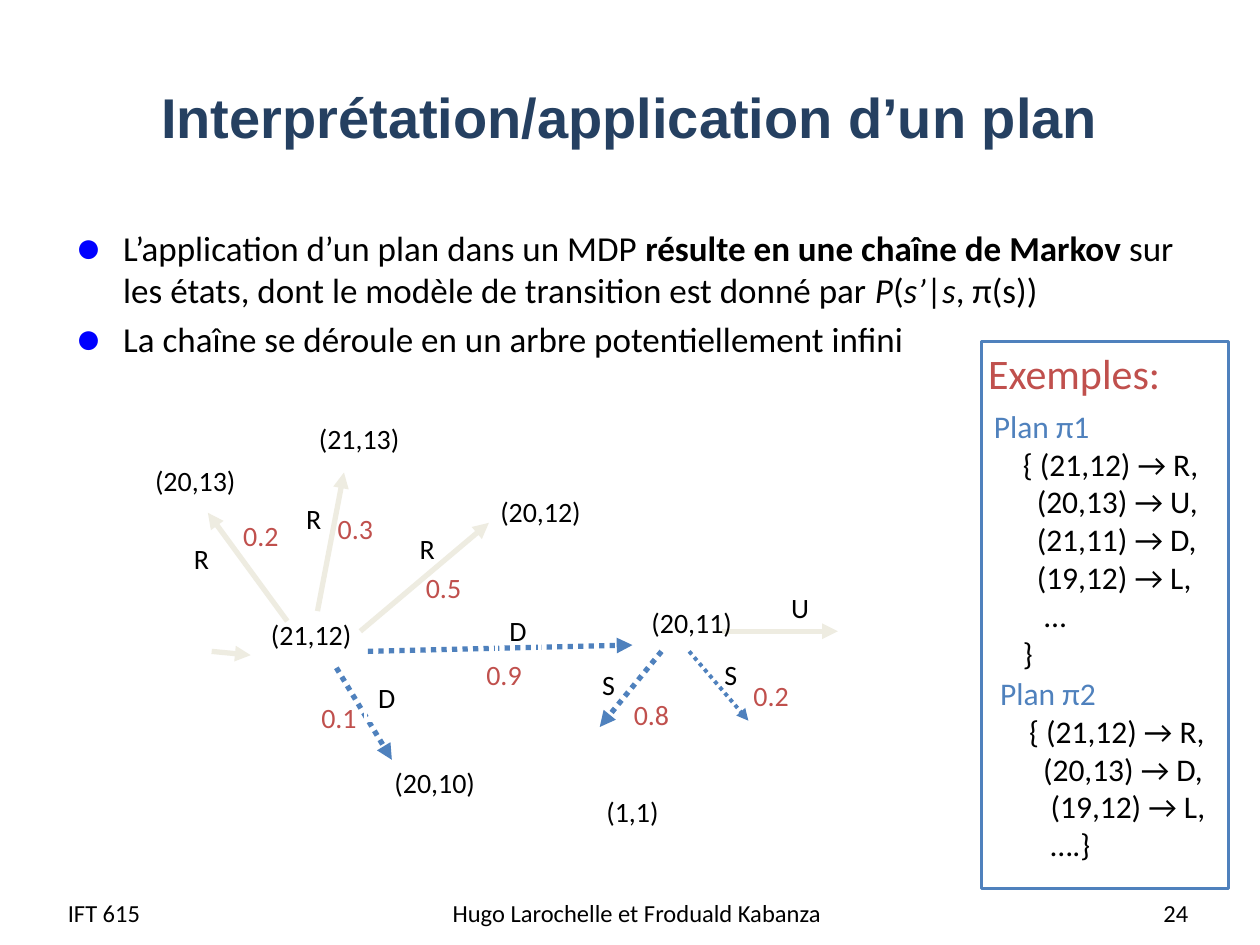
from lxml import etree
from pptx import Presentation
from pptx.dml.color import RGBColor
from pptx.enum.dml import MSO_LINE_DASH_STYLE as Dash
from pptx.enum.shapes import MSO_CONNECTOR as Connector, MSO_SHAPE as Shape
from pptx.enum.text import MSO_ANCHOR as Anchor, PP_ALIGN as Align
from pptx.oxml.ns import qn
from pptx.util import Inches, Pt

BLACK, BLUE, RED, BEIGE, WHITE = "000000", "4F81BD", "C0504D", "EEECE1", "FFFFFF"
TITLE_COLOUR, BULLET_COLOUR = "254061", "0000FF"


def colour(hex_code):
    return RGBColor.from_string(hex_code)


def add_run(para, text, size, hex_code=BLACK, bold=False, italic=False, font="Calibri"):
    span = para.add_run()
    span.text = text
    span.font.name = font
    span.font.size = Pt(size)
    span.font.bold = bold
    span.font.italic = italic
    span.font.color.rgb = colour(hex_code)


def add_text_box(page, left, top, width, height, wrap=True, anchor=Anchor.TOP):
    box = page.shapes.add_textbox(Inches(left), Inches(top), Inches(width), Inches(height))
    box.text_frame.word_wrap = wrap
    box.text_frame.vertical_anchor = anchor
    return box.text_frame


def add_frame(page, left, top, width, height, line_colour):
    box = page.shapes.add_shape(
        Shape.RECTANGLE, Inches(left), Inches(top), Inches(width), Inches(height))
    box.shadow.inherit = False
    box.fill.background()
    box.line.color.rgb = colour(line_colour)
    box.line.width = Pt(1.5)


def add_line_of_text(page, left, top, width, height, text, size, hex_code=BLACK,
                     align=Align.CENTER, wrap=True, anchor=Anchor.TOP):
    para = add_text_box(page, left, top, width, height, wrap, anchor).paragraphs[0]
    para.alignment = align
    add_run(para, text, size, hex_code)


def add_title(page, left, top, width, height):
    title = page.shapes.title
    title.left, title.top = Inches(left), Inches(top)
    title.width, title.height = Inches(width), Inches(height)
    title.text_frame.vertical_anchor = Anchor.MIDDLE
    para = title.text_frame.paragraphs[0]
    para.alignment = Align.CENTER
    add_run(para, "Interprétation/application d’un plan", 32, TITLE_COLOUR,
            bold=True, font="Arial")


def add_bullet(para):
    props = para._p.get_or_add_pPr()
    props.set("marL", str(Inches(0.38)))
    props.set("indent", str(-Inches(0.38)))
    bullet_colour = etree.SubElement(props, qn("a:buClr"))
    etree.SubElement(bullet_colour, qn("a:srgbClr"), val=BULLET_COLOUR)
    etree.SubElement(props, qn("a:buSzPct"), val="125000")
    etree.SubElement(props, qn("a:buFont"), typeface="Arial")
    etree.SubElement(props, qn("a:buChar"), char="●")


def add_bullets(page, left, top, width, height):
    frame = add_text_box(page, left, top, width, height)
    first = frame.paragraphs[0]
    add_bullet(first)
    add_run(first, "L’application d’un plan dans un MDP ", 20)
    add_run(first, "résulte en une chaîne de Markov", 20, bold=True)
    add_run(first, " sur les états, dont le modèle de transition est donné par ", 20)
    for text, italic in [("P", True), ("(", False), ("s’", True), ("|", False),
                         ("s", True), (", π(s))", False)]:
        add_run(first, text, 20, italic=italic)
    second = frame.add_paragraph()
    add_bullet(second)
    second.space_before = Pt(4)
    add_run(second, "La chaîne se déroule en un arbre potentiellement infini", 20)


def add_arrow(page, start_x, start_y, end_x, end_y, line_colour, width=3, dash=None):
    arrow = page.shapes.add_connector(
        Connector.STRAIGHT, Inches(start_x), Inches(start_y), Inches(end_x), Inches(end_y))
    arrow.line.color.rgb = colour(line_colour)
    arrow.line.width = Pt(width)
    if dash:
        arrow.line.dash_style = dash
    props = arrow._element.spPr
    etree.SubElement(props.find(qn("a:ln")), qn("a:tailEnd"), type="triangle")
    etree.SubElement(props, qn("a:effectLst"))


def add_tree(page, left, top):
    plain_arrows = [
        (4.61, 1.71, 5.53, 1.71), (1.74, 1.71, 2.76, 0.85), (1.4, 1.55, 1.61, 0.45),
        (1.16, 1.63, 0.53, 0.77), (0.56, 1.87, 0.87, 1.9)]
    dotted_arrows = [
        (1.8, 1.87, 3.9, 1.82, 3), (4.35, 1.87, 4.82, 2.42, 2.25),
        (4.13, 1.87, 3.64, 2.47, 3), (1.55, 2, 1.99, 2.73, 3)]
    states = [
        ("(21,12)", 1.35, 1.55), ("(20,11)", 4.37, 1.46), ("(20,12)", 3.17, 0.58),
        ("(20,13)", 0.43, 0.33), ("(21,13)", 1.73, 0), ("(1,1)", 3.9, 2.96),
        ("(20,10)", 2.33, 2.73)]
    actions = [
        ("U", 5.23, 1.34), ("R", 2.27, 0.87), ("R", 0.48, 0.95), ("R", 1.37, 0.63),
        ("D", 1.95, 2.05), ("D", 2.99, 1.52), ("S", 4.68, 1.87), ("S", 3.71, 1.95)]
    chances = [
        ("0.9", 2.88, 1.87), ("0.5", 2.4, 1.18), ("0.1", 1.57, 2.21), ("0.3", 1.7, 0.71),
        ("0.2", 0.95, 0.77), ("0.8", 4.05, 2.19), ("0.2", 5, 2.04)]

    for x1, y1, x2, y2, width in dotted_arrows:
        add_arrow(page, left + x1, top + y1, left + x2, top + y2, BLUE, width,
                  Dash.ROUND_DOT)
    for x1, y1, x2, y2 in plain_arrows:
        add_arrow(page, left + x1, top + y1, left + x2, top + y2, BEIGE)
    for labels, width, hex_code in [(states, 0.85, BLACK), (actions, 0.34, BLACK),
                                    (chances, 0.49, RED)]:
        for text, centre, y in labels:
            x = left + centre - width / 2
            if text == "D":
                add_frame(page, x, top + y, width, 0.37, WHITE)
            add_line_of_text(page, x, top + y, width, 0.37, text, 16, hex_code, wrap=False)


def add_plan(page, left, top, width, height, heading, steps):
    frame = add_text_box(page, left, top, width, height)
    add_run(frame.paragraphs[0], heading, 18, BLUE)
    for text, indent in steps:
        para = frame.add_paragraph()
        para._p.get_or_add_pPr().set("marL", str(Inches(indent)))
        add_run(para, text, 18)


def add_examples(page, left, top, width, height):
    add_plan(page, left, top + 0.47, 2.13, 2.22, "Plan π1", [
        ("{ (21,12) → R,", 0.23), ("(20,13) → U,", 0.34), ("(21,11) → D,", 0.34),
        ("(19,12) → L,", 0.34), ("…", 0.4), ("}", 0.23)])
    add_plan(page, left + 0.05, top + 2.59, 2.13, 1.6, "Plan π2", [
        ("{ (21,12) → R,", 0.23), ("(20,13) → D,", 0.34), ("(19,12) → L,", 0.4),
        ("….}", 0.4)])
    add_line_of_text(page, left - 0.07, top, 1.61, 0.5, "Exemples:", 24, RED, wrap=False)
    add_frame(page, left, top, width, height, BLUE)


def add_footer(page, top, height):
    for left, width, text, align in [
            (0.44, 1.93, "IFT 615", Align.LEFT),
            (3.47, 3.17, "Hugo Larochelle et Froduald Kabanza", Align.CENTER),
            (7.2, 2.33, "24", Align.RIGHT)]:
        add_line_of_text(page, left, top, width, height, text, 14, align=align,
                         anchor=Anchor.MIDDLE)


def main():
    deck = Presentation()
    deck.slide_width, deck.slide_height = Inches(10), Inches(7.5)
    page = deck.slides.add_slide(deck.slide_layouts[5])
    add_title(page, 0.5, 0.3, 9, 1.25)
    add_bullets(page, 0.5, 1.75, 9, 1.2)
    add_tree(page, 1.12, 3.3)
    add_examples(page, 7.79, 2.71, 1.96, 4.34)
    add_footer(page, 7.04, 0.4)
    deck.save("out.pptx")


if __name__ == "__main__":
    main()
